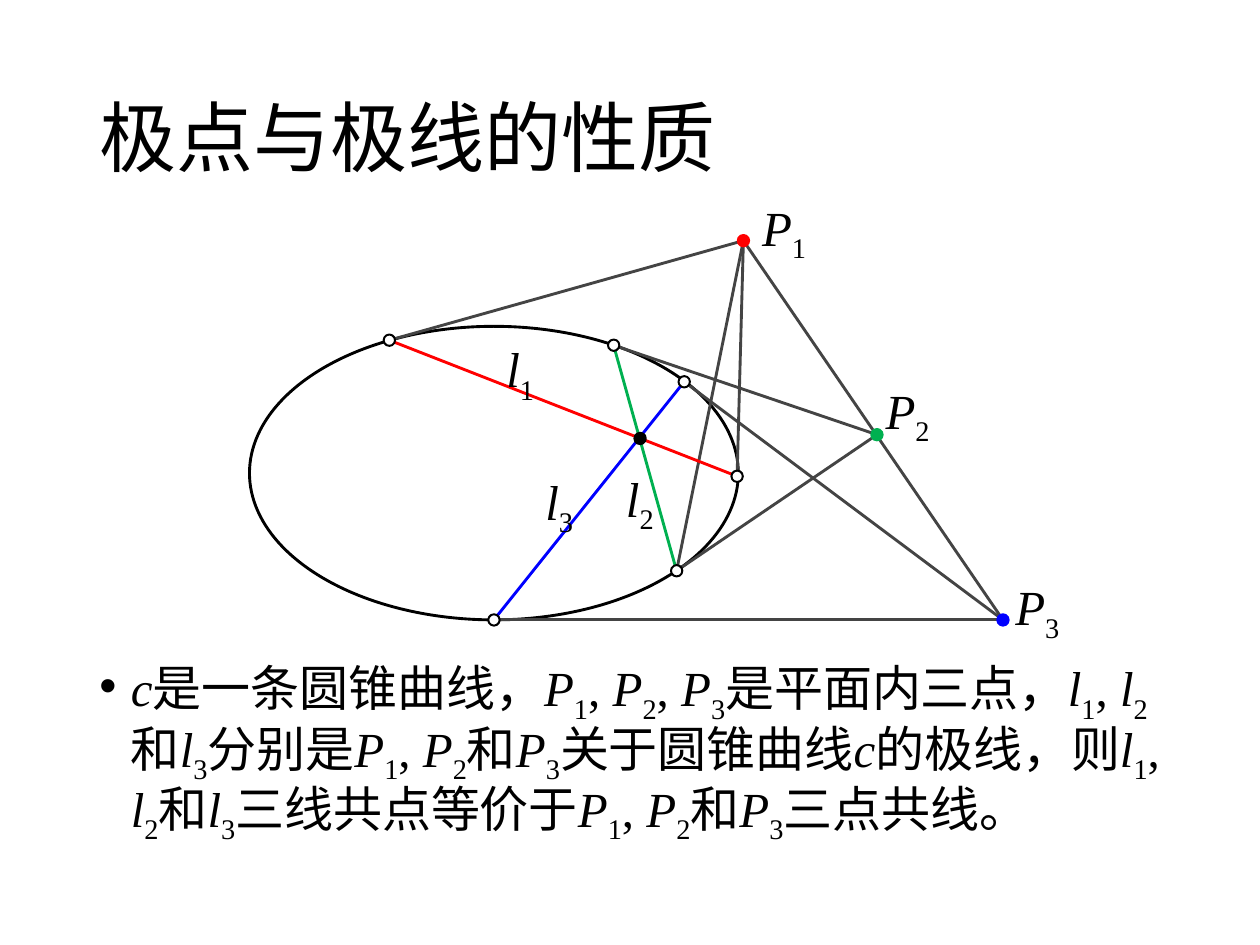
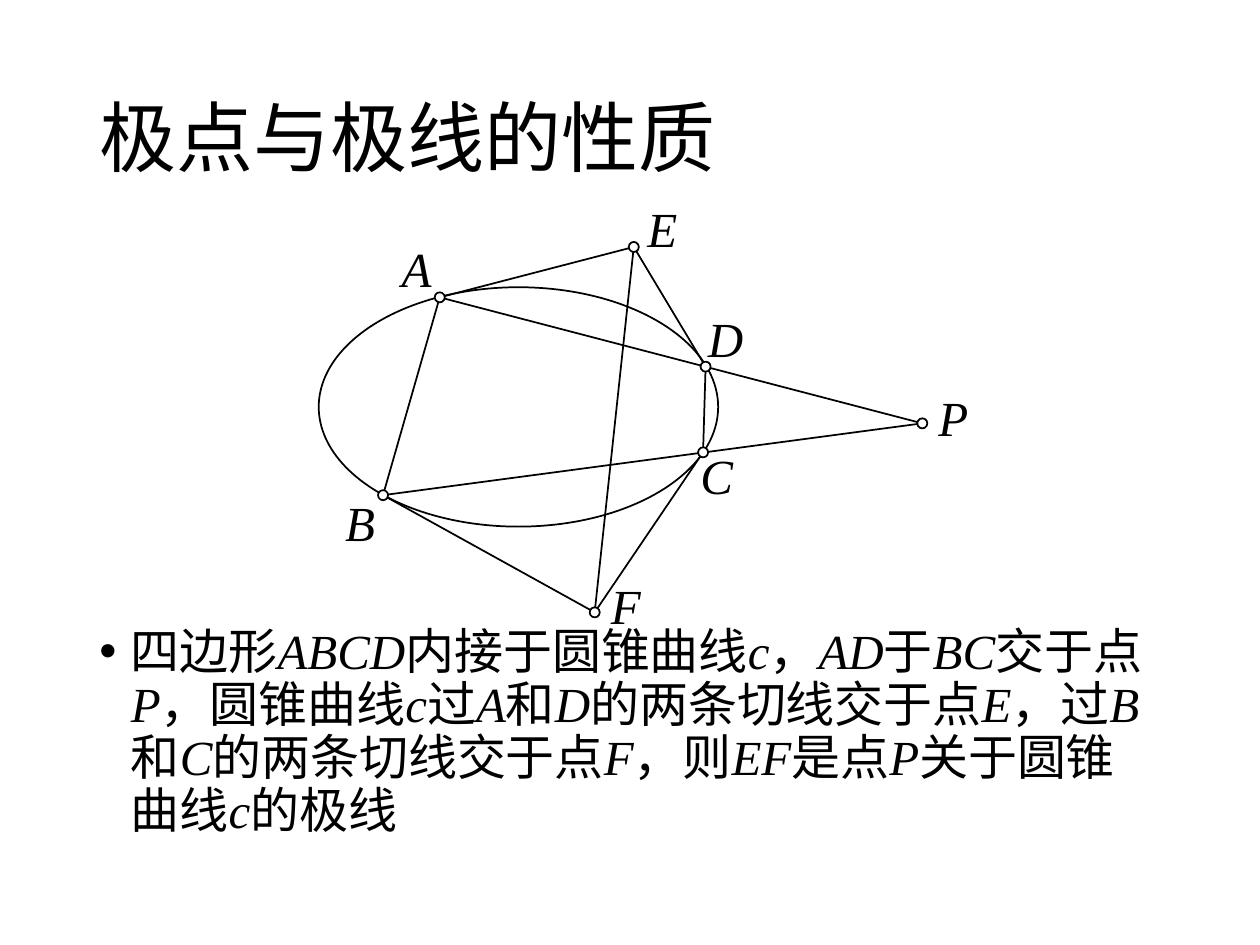
from itertools import groupby

from lxml.etree import SubElement
from pptx import Presentation
from pptx.dml.color import RGBColor
from pptx.enum.shapes import MSO_CONNECTOR as Link, MSO_SHAPE as Form
from pptx.enum.text import MSO_ANCHOR as Anchor, MSO_AUTO_SIZE as Fit, PP_ALIGN as Align
from pptx.oxml.ns import qn
from pptx.util import Pt

# Shared style: 100 px to the inch
SCALE = 9144
LATIN, ASIAN = "Times New Roman", "Noto Sans CJK SC"
BLACK, WHITE, GRAY = "000000", "FFFFFF", "444444"
RED, GREEN, BLUE = "FF0000", "00B050", "0000FF"
TITLE = "极点与极线的性质"

# Points are name: (x, y, fill); labels are text: (left, top, width)
SLIDES = [
    dict(
        text="c是一条圆锥曲线，P1, P2, P3是平面内三点，l1, l2和l3分别是P1, P2和P3"
             "关于圆锥曲线c的极线，则l1, l2和l3三线共点等价于P1, P2和P3三点共线。",
        box=(69, 518, 862, 157),
        conic=(198, 259, 388, 233),
        width=1.63, rim=1.13, dot=9,
        points={
            "P1": (590, 191, RED), "A1": (309, 270, WHITE), "B1": (585, 378, WHITE),
            "P3": (796, 492, BLUE), "A3": (543, 303, WHITE), "B3": (392, 492, WHITE),
            "P2": (696, 345, GREEN), "A2": (487, 274, WHITE), "B2": (537, 453, WHITE),
            "O": (508, 348, BLACK),
        },
        lines=[
            (GRAY, "P1 A1, P1 B1, P3 A3, P3 B3, P2 A2, P2 B2, P1 P3, P1 B2"),
            (BLUE, "A3 B3"), (RED, "A1 B1"), (GREEN, "A2 B2"),
        ],
        labels={
            "P1": (595, 152, 57), "P2": (693, 297, 57), "P3": (796, 453, 57),
            "l1": (392, 264, 44), "l2": (487, 367, 44), "l3": (423, 369, 44),
        },
    ),
    dict(
        text="四边形ABCD内接于圆锥曲线c，AD于BC交于点P，圆锥曲线c过A和D的两条切线"
             "交于点E，过B和C的两条切线交于点F，则EF是点P关于圆锥曲线c的极线",
        box=(69, 493, 862, 182),
        conic=(253, 228, 317, 190),
        width=1, rim=1, dot=8,
        points={
            "A": (349, 236, WHITE), "B": (304, 393, WHITE), "C": (558, 359, WHITE),
            "D": (560, 291, WHITE), "E": (503, 196, WHITE), "F": (472, 486, WHITE),
            "P": (732, 336, WHITE),
        },
        lines=[(BLACK, "A P, B P, E A, E D, B F, C F, E F, A B, C D")],
        labels={
            "A": (309, 184, 44), "B": (264, 386, 44), "C": (546, 349, 46),
            "D": (552, 240, 49), "E": (504, 153, 44), "F": (475, 452, 44),
            "P": (735, 303, 44),
        },
    ),
]


def px(*nums):
    return [round(n * SCALE) for n in nums]


def rgb(code):
    return RGBColor.from_string(code)


def kind(char):
    """Latin letters are variables, digits are their indices."""
    if char.isdigit():
        return "index"
    return "var" if char.isascii() and char.isalpha() else "plain"


def style(font, size, latin):
    font.size, font.name = Pt(size), latin
    font.color.rgb = rgb(BLACK)


def add_run(par, text):
    run = par.add_run()
    run.text = text
    return run


def set_asian(run):
    SubElement(run.font._element, qn("a:ea"), typeface=ASIAN)


def write_math(par, text):
    style(par.font, 28, LATIN)
    for sort, chars in groupby(text, kind):
        run = add_run(par, "".join(chars))
        set_asian(run)
        if sort == "var":
            run.font.italic = True
        elif sort == "index":
            run.font._element.set("baseline", "-25000")


def add_oval(shapes, box, line, width, fill=None):
    oval = shapes.add_shape(Form.OVAL, *px(*box))
    oval.shadow.inherit = False
    if fill:
        oval.fill.solid()
        oval.fill.fore_color.rgb = rgb(fill)
    else:
        oval.fill.background()
    oval.line.color.rgb, oval.line.width = rgb(line), Pt(width)


def add_line(shapes, start, end, color, width):
    line = shapes.add_connector(Link.STRAIGHT, *px(*start, *end))
    line.line.color.rgb, line.line.width = rgb(color), Pt(width)
    SubElement(line._element.spPr, qn("a:effectLst"))


def add_title(slide):
    title = slide.shapes.title
    title.left, title.top, title.width, title.height = px(69, 40, 862, 145)
    frame = title.text_frame
    frame.auto_size, frame.vertical_anchor = Fit.NONE, Anchor.MIDDLE
    par = frame.paragraphs[0]
    par.alignment, par.line_spacing = Align.LEFT, 0.9
    style(par.font, 44, ASIAN)
    set_asian(add_run(par, TITLE))


def add_body(slide, text, box):
    frame = slide.shapes.add_textbox(*px(*box)).text_frame
    frame.word_wrap = True
    par = frame.paragraphs[0]
    par.line_spacing = 0.9
    props = par._p.get_or_add_pPr()
    indent = px(25)[0]
    props.set("marL", str(indent))
    props.set("indent", str(-indent))
    SubElement(props, qn("a:buFont"), typeface="Arial")
    SubElement(props, qn("a:buChar"), char="•")
    write_math(par, text)


def add_figure(slide, data):
    shapes = slide.shapes.add_group_shape().shapes
    points, dot = data["points"], data["dot"]
    add_oval(shapes, data["conic"], BLACK, data["width"])
    for color, pairs in data["lines"]:
        for pair in pairs.split(", "):
            start, end = (points[name][:2] for name in pair.split())
            add_line(shapes, start, end, color, data["width"])
    for x, y, fill in points.values():
        rim = BLACK if fill == WHITE else fill
        add_oval(shapes, (x - dot / 2, y - dot / 2, dot, dot), rim, data["rim"], fill)


def add_label(slide, text, left, top, width):
    frame = slide.shapes.add_textbox(*px(left, top, width, 57)).text_frame
    frame.word_wrap, frame.auto_size = False, Fit.SHAPE_TO_FIT_TEXT
    write_math(frame.paragraphs[0], text)


def main():
    deck = Presentation()
    deck.slide_width, deck.slide_height = px(1000, 750)
    for data in SLIDES:
        slide = deck.slides.add_slide(deck.slide_layouts[5])
        add_title(slide)
        add_body(slide, data["text"], data["box"])
        add_figure(slide, data)
        for text, place in data["labels"].items():
            add_label(slide, text, *place)
    deck.save("out.pptx")


if __name__ == "__main__":
    main()
